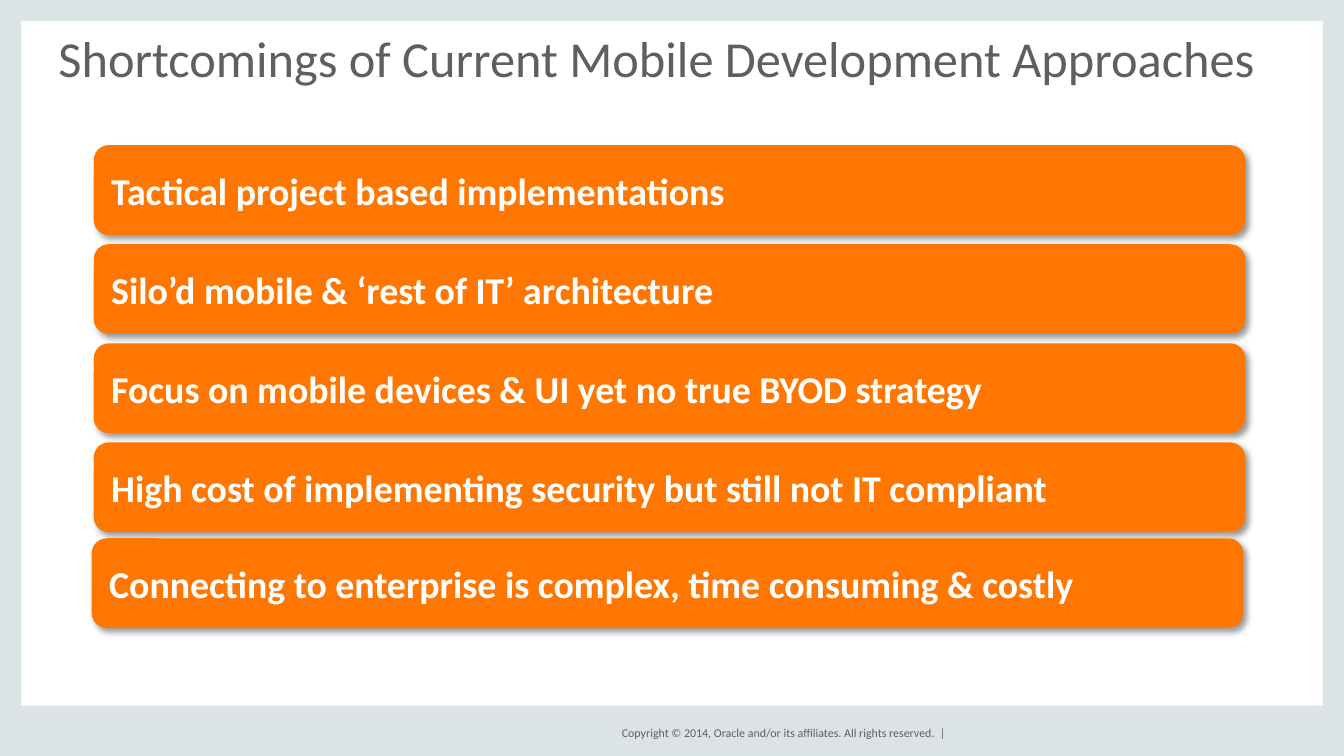
import pptx
import pptx.util
import pptx.dml.color
import pptx.enum.shapes
import pptx.enum.text
import pptx.oxml
import pptx.oxml.ns

Inches, Pt = pptx.util.Inches, pptx.util.Pt
SHAPE = pptx.enum.shapes.MSO_SHAPE
ALIGN = pptx.enum.text.PP_ALIGN
ANCHOR = pptx.enum.text.MSO_ANCHOR

TITLE = "Shortcomings of Current Mobile Development Approaches"
COPYRIGHT = "Copyright © 2014, Oracle and/or its affiliates. All rights reserved.  |"
SHORTCOMINGS = [
    "Tactical project based implementations",
    "Silo’d mobile & ‘rest of IT’ architecture",
    "Focus on mobile devices & UI yet no true BYOD strategy",
    "High cost of implementing security but still not IT compliant",
    "Connecting to enterprise is complex, time consuming & costly",
]

THEME = {
    "font": "Calibri",
    "frame": "DCE3E4", "bar": "FF7700", "bar_text": "FFFFFF", "text": "5F5F5F",
    "title_size": 36, "bar_size": 27, "footer_size": 8.5,
}

WIDTH, HEIGHT = 13.33, 7.5
EDGE, FOOTER_HEIGHT = 0.21, 0.5
FRAME = [
    (0, 0, EDGE, HEIGHT),
    (WIDTH - EDGE, 0, EDGE, HEIGHT),
    (0, HEIGHT - FOOTER_HEIGHT, WIDTH, FOOTER_HEIGHT),
    (0, 0, WIDTH, EDGE),
]
BAR_LEFT, BAR_TOP, BAR_WIDTH, BAR_HEIGHT = 0.93, 1.44, 11.42, 0.89
BAR_PITCH = 0.983
LAST_BAR = (0.91, 5.34)  # the last bar sits slightly up and to the left


def add_block(s, kind, box, color):
    sp = s.shapes.add_shape(kind, *map(Inches, box))
    sp.fill.solid()
    sp.fill.fore_color.rgb = pptx.dml.color.RGBColor.from_string(color)
    sp.line.fill.background()
    sp.shadow.inherit = False
    return sp


def set_text(sp, text, size, color, insets=(0, 0, 0, 0), anchor=ANCHOR.MIDDLE,
             align=ALIGN.LEFT, bold=False, wrap=True):
    """Write one paragraph; insets are left, top, right, bottom in inches."""
    tf = sp.text_frame
    tf.text = text
    tf.word_wrap = wrap
    tf.auto_size = pptx.enum.text.MSO_AUTO_SIZE.NONE
    tf.vertical_anchor = anchor
    tf.margin_left, tf.margin_top, tf.margin_right, tf.margin_bottom = map(Inches, insets)
    p = tf.paragraphs[0]
    p.alignment = align
    font = p.runs[0].font
    font.name, font.size, font.bold = THEME["font"], Pt(size), bold
    font.color.rgb = pptx.dml.color.RGBColor.from_string(color)
    return p


def add_drop_shadow(sp):
    effects = sp.element.spPr.find(pptx.oxml.ns.qn("a:effectLst"))
    effects.append(pptx.oxml.parse_xml(
        f'<a:outerShdw {pptx.oxml.ns.nsdecls("a")} blurRad="{Pt(4)}" dist="{Pt(3)}" '
        'dir="2700000" algn="tl" rotWithShape="0">'
        '<a:srgbClr val="000000"><a:alpha val="40000"/></a:srgbClr></a:outerShdw>'))


def main():
    prs = pptx.Presentation()
    prs.slide_width, prs.slide_height = Inches(WIDTH), Inches(HEIGHT)
    s = prs.slides.add_slide(prs.slide_layouts[6])

    for box in FRAME:
        add_block(s, SHAPE.RECTANGLE, box, THEME["frame"])

    footer = s.shapes.add_textbox(*map(Inches, (5.88, 7.17, 3.5, 0.2)))
    set_text(footer, COPYRIGHT, THEME["footer_size"], THEME["text"],
             align=ALIGN.RIGHT, wrap=False)

    title = s.shapes.add_textbox(*map(Inches, (0.58, 0.44, 12.17, 0.97)))
    p = set_text(title, TITLE, THEME["title_size"], THEME["text"],
                 insets=(0, 0, 0, 0.54), anchor=ANCHOR.BOTTOM)
    p.line_spacing = 0.8

    corners = [(BAR_LEFT, BAR_TOP + i * BAR_PITCH) for i in range(len(SHORTCOMINGS) - 1)]
    for (left, top), text in zip(corners + [LAST_BAR], SHORTCOMINGS):
        bar = add_block(s, SHAPE.ROUNDED_RECTANGLE,
                        (left, top, BAR_WIDTH, BAR_HEIGHT), THEME["bar"])
        add_drop_shadow(bar)
        set_text(bar, text, THEME["bar_size"], THEME["bar_text"],
                 insets=(0.13, 0.07, 0.13, 0.07), bold=True)

    prs.save("out.pptx")


if __name__ == "__main__":
    main()
